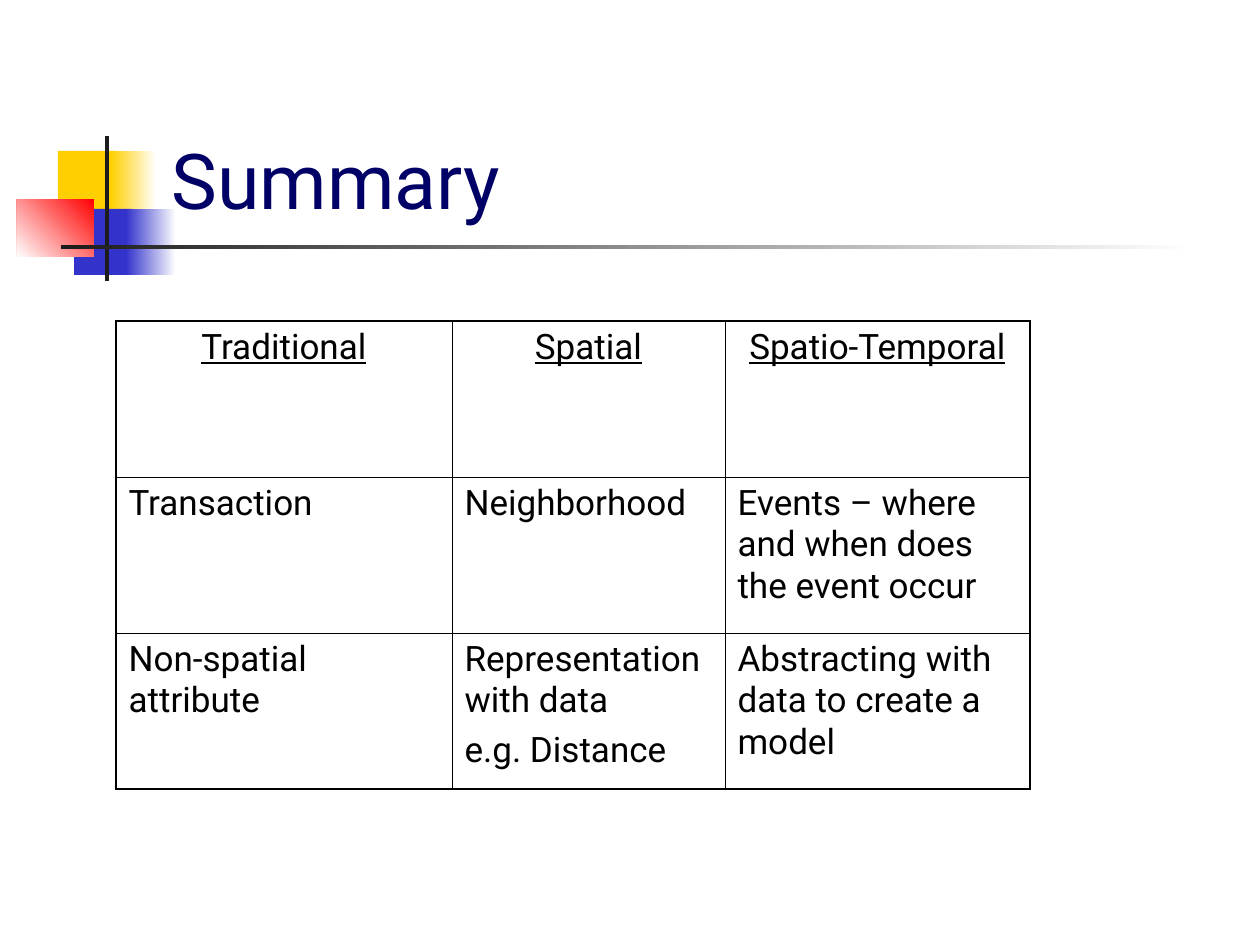
"""Build the summary slide comparing traditional, spatial and spatio-temporal data."""
from lxml.etree import SubElement
from pptx import Presentation
from pptx.dml.color import RGBColor
from pptx.enum.shapes import MSO_SHAPE
from pptx.enum.text import MSO_ANCHOR, MSO_AUTO_SIZE, PP_ALIGN
from pptx.oxml.ns import qn
from pptx.util import Emu, Pt

FONT = "Roboto"
TITLE = "Summary"
TITLE_BOX = (159, 29, 1074, 202)
DECORATIONS = [
    ((58, 151, 60, 66), ["FFCF01"], 0),
    ((111, 151, 45, 66), ["FFFFFF", "FFCF01"], 180),
    ((74, 209, 58, 66), ["3333CC"], 0),
    ((126, 209, 50, 66), ["FFFFFF", "3333CC"], 180),
    ((17, 199, 77, 58), ["FF0000", "FFFFFF"], 225),
    ((105, 136, 4, 145), ["1C1C1C"], 0),
    ((61, 245, 1134, 4), ["FFFFFF", "1C1C1C"], 180),
]
ROWS = [
    ["Traditional", "Spatial", "Spatio-Temporal"],
    ["Transaction", "Neighborhood", "Events – where and when does the event occur"],
    ["Non-spatial attribute", "Representation with data\ne.g. Distance",
     "Abstracting with data to create a model"],
]
TABLE_LEFT, TABLE_TOP = 116, 321
COLUMN_WIDTHS = [336, 273, 305]
ROW_HEIGHT = 156
OUTER_LINE, INNER_LINE = 1.08, 0.45


def px(length):
    return Emu(round(length * 914400 / 126))


def color(value):
    return RGBColor.from_string(value)


def format_font(font, **values):
    font.color.rgb = color(values.pop("color"))
    for name, value in values.items():
        setattr(font, name, value)


def add_decoration(slide, box, colors, angle):
    shape = slide.shapes.add_shape(MSO_SHAPE.RECTANGLE, *map(px, box))
    shape.shadow.inherit = False
    shape.line.fill.background()
    if len(colors) == 1:
        shape.fill.solid()
        shape.fill.fore_color.rgb = color(colors[0])
        return
    shape.fill.gradient()
    shape.fill.gradient_angle = angle
    for stop, value in zip(shape.fill.gradient_stops, colors):
        stop.color.rgb = color(value)


def set_borders(cell, outer_sides):
    properties = cell._tc.get_or_add_tcPr()
    for side, is_outer in outer_sides.items():
        width = Pt(OUTER_LINE if is_outer else INNER_LINE)
        line = SubElement(properties, qn(f"a:ln{side}"), w=str(width))
        fill = SubElement(line, qn("a:solidFill"))
        SubElement(fill, qn("a:srgbClr"), val="000000")


def add_title(slide):
    title = slide.shapes.title
    title.left, title.top, title.width, title.height = map(px, TITLE_BOX)
    frame = title.text_frame
    frame.text = TITLE
    frame.auto_size = MSO_AUTO_SIZE.NONE
    frame.vertical_anchor = MSO_ANCHOR.BOTTOM
    paragraph = frame.paragraphs[0]
    paragraph.alignment = PP_ALIGN.LEFT
    format_font(paragraph.runs[0].font, name=FONT, size=Pt(44), color="000066")


def add_summary_table(slide):
    last_row, last_column = len(ROWS) - 1, len(COLUMN_WIDTHS) - 1
    box = (TABLE_LEFT, TABLE_TOP, sum(COLUMN_WIDTHS), ROW_HEIGHT * len(ROWS))
    table = slide.shapes.add_table(len(ROWS), len(COLUMN_WIDTHS), *map(px, box)).table
    table.first_row = table.horz_banding = False
    for column, width in zip(table.columns, COLUMN_WIDTHS):
        column.width = px(width)
    for i, texts in enumerate(ROWS):
        table.rows[i].height = px(ROW_HEIGHT)
        for j, text in enumerate(texts):
            cell = table.cell(i, j)
            cell.text = text
            set_borders(cell, {"L": j == 0, "R": j == last_column,
                               "T": i == 0, "B": i == last_row})
            cell.fill.background()
            for paragraph in cell.text_frame.paragraphs:
                paragraph.alignment = PP_ALIGN.CENTER if i == 0 else PP_ALIGN.LEFT
                paragraph.space_before = Pt(5)
                format_font(paragraph.runs[0].font, name=FONT, size=Pt(20),
                            underline=i == 0, color="000000")


def main():
    presentation = Presentation()
    presentation.slide_width, presentation.slide_height = px(1260), px(945)
    slide = presentation.slides.add_slide(presentation.slide_layouts[5])
    for decoration in DECORATIONS:
        add_decoration(slide, *decoration)
    add_title(slide)
    add_summary_table(slide)
    presentation.save("out.pptx")


if __name__ == "__main__":
    main()
